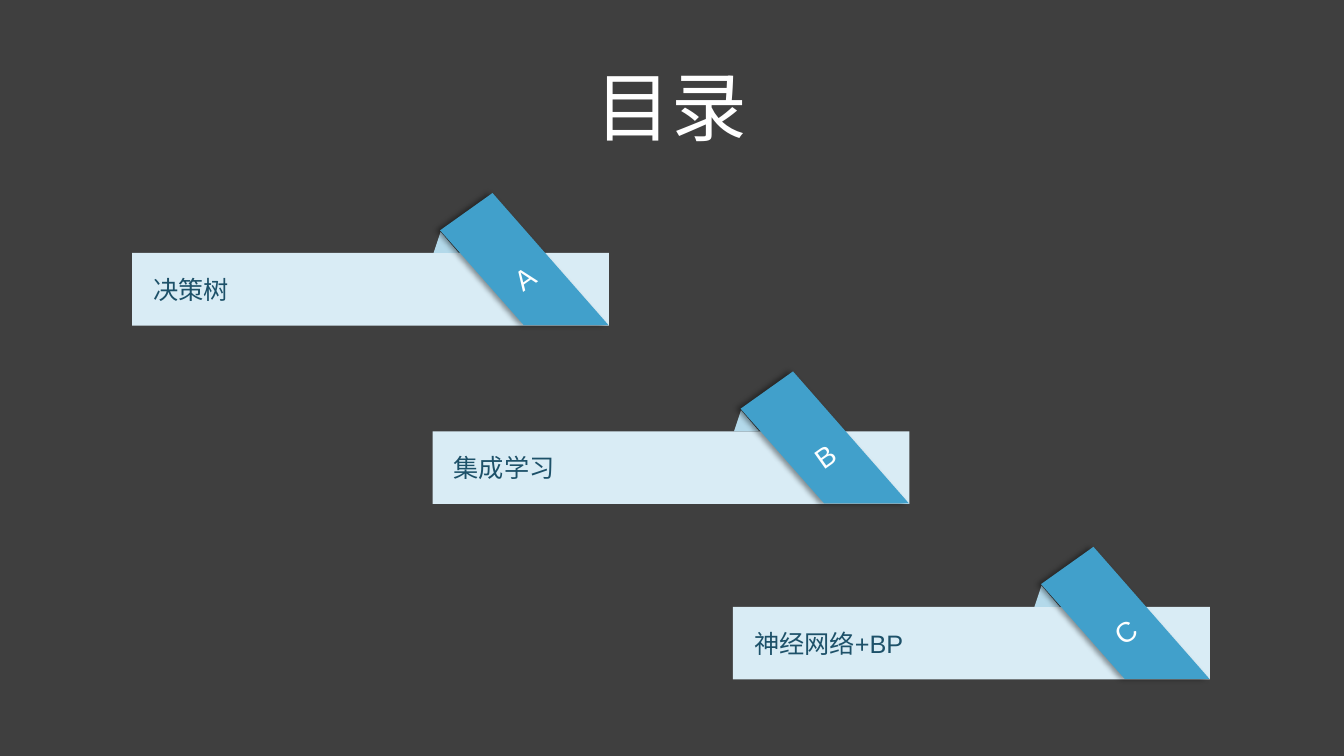
from math import cos, radians, sin

from lxml.etree import SubElement
from pptx import Presentation
from pptx.dml.color import RGBColor
from pptx.enum.shapes import MSO_SHAPE
from pptx.enum.text import MSO_ANCHOR, PP_ALIGN
from pptx.oxml.ns import qn
from pptx.util import Inches, Pt

BACKGROUND = RGBColor(0x3F, 0x3F, 0x3F)
WHITE = RGBColor(0xFF, 0xFF, 0xFF)
BAR_BLUE = RGBColor(0xD9, 0xEC, 0xF5)
FLAP_BLUE = RGBColor(0xB3, 0xD9, 0xEA)
RIBBON_BLUE = RGBColor(0x41, 0xA0, 0xCB)
TOPIC_BLUE = RGBColor(0x1D, 0x51, 0x69)
LETTER_WHITE = RGBColor(0xFE, 0xFF, 0xFF)

BAR_WIDTH, BAR_HEIGHT = 4.73, 0.72
FLAP = [(2.99, 0), (3.06, -0.21), (3.24, 0)]
RIBBON = [(3.58, -0.59), (4.73, 0.72), (3.89, 0.72), (3.06, -0.22)]
RIBBON_CENTRE = (3.9, 0.24)
RIBBON_ANGLE = -35.5

FIRST_LEFT, LEFT_STEP = 1.31, 2.98
TOPICS = [
    ("A", "决策树", 2.51),
    ("B", "集成学习", 4.28),
    ("C", "神经网络+BP", 6.02),
]


def write(shape, text, size, color, align=PP_ALIGN.LEFT, inset=0.1):
    frame = shape.text_frame
    frame.word_wrap = True
    frame.vertical_anchor = MSO_ANCHOR.MIDDLE
    frame.margin_left = Inches(inset)
    paragraph = frame.paragraphs[0]
    paragraph.alignment = align
    run = paragraph.add_run()
    run.text = text
    run.font.name = "Arial"
    run.font.size = Pt(size)
    run.font.color.rgb = color


def paint(shape, color):
    shape.fill.solid()
    shape.fill.fore_color.rgb = color
    shape.line.fill.background()
    shape.shadow.inherit = False


def turn(point, centre, angle):
    dx, dy = point[0] - centre[0], point[1] - centre[1]
    c, s = cos(radians(angle)), sin(radians(angle))
    return centre[0] + dx * c - dy * s, centre[1] + dx * s + dy * c


def add_outline(shapes, points, left, top, color):
    corners = [(Inches(left + x), Inches(top + y)) for x, y in points]
    builder = shapes.build_freeform(*corners[0])
    builder.add_line_segments(corners[1:], close=True)
    outline = builder.convert_to_shape()
    paint(outline, color)
    return outline


def add_shadow(shape):
    effects = shape.element.spPr.find(qn("a:effectLst"))
    shadow = SubElement(effects, qn("a:outerShdw"), blurRad=str(Pt(4)),
                        dist=str(Pt(3)), dir="10800000", rotWithShape="0")
    black = SubElement(shadow, qn("a:srgbClr"), val="000000")
    SubElement(black, qn("a:alpha"), val="40000")


def add_topic(slide, letter, topic, left, top):
    shapes = slide.shapes.add_group_shape().shapes
    bar = shapes.add_shape(MSO_SHAPE.RECTANGLE, Inches(left), Inches(top),
                           Inches(BAR_WIDTH), Inches(BAR_HEIGHT))
    paint(bar, BAR_BLUE)
    write(bar, topic, size=18, color=TOPIC_BLUE, inset=0.21)

    add_outline(shapes, FLAP, left, top, FLAP_BLUE)

    upright = [turn(point, RIBBON_CENTRE, -RIBBON_ANGLE) for point in RIBBON]
    ribbon = add_outline(shapes, upright, left, top, RIBBON_BLUE)
    ribbon.rotation = RIBBON_ANGLE
    add_shadow(ribbon)
    write(ribbon, letter, size=20, color=LETTER_WHITE, align=PP_ALIGN.CENTER)


def add_title(slide, text):
    title = slide.shapes.title
    title.left, title.top = Inches(5.13), Inches(0.41)
    title.width, title.height = Inches(3.06), Inches(1.26)
    write(title, text, size=54, color=WHITE, align=PP_ALIGN.CENTER)


def main():
    deck = Presentation()
    deck.slide_width, deck.slide_height = Inches(13.33), Inches(7.5)
    slide = deck.slides.add_slide(deck.slide_layouts[5])
    slide.background.fill.solid()
    slide.background.fill.fore_color.rgb = BACKGROUND
    add_title(slide, "目录")
    for row, (letter, topic, top) in enumerate(TOPICS):
        add_topic(slide, letter, topic, FIRST_LEFT + row * LEFT_STEP, top)
    deck.save("out.pptx")


if __name__ == "__main__":
    main()
